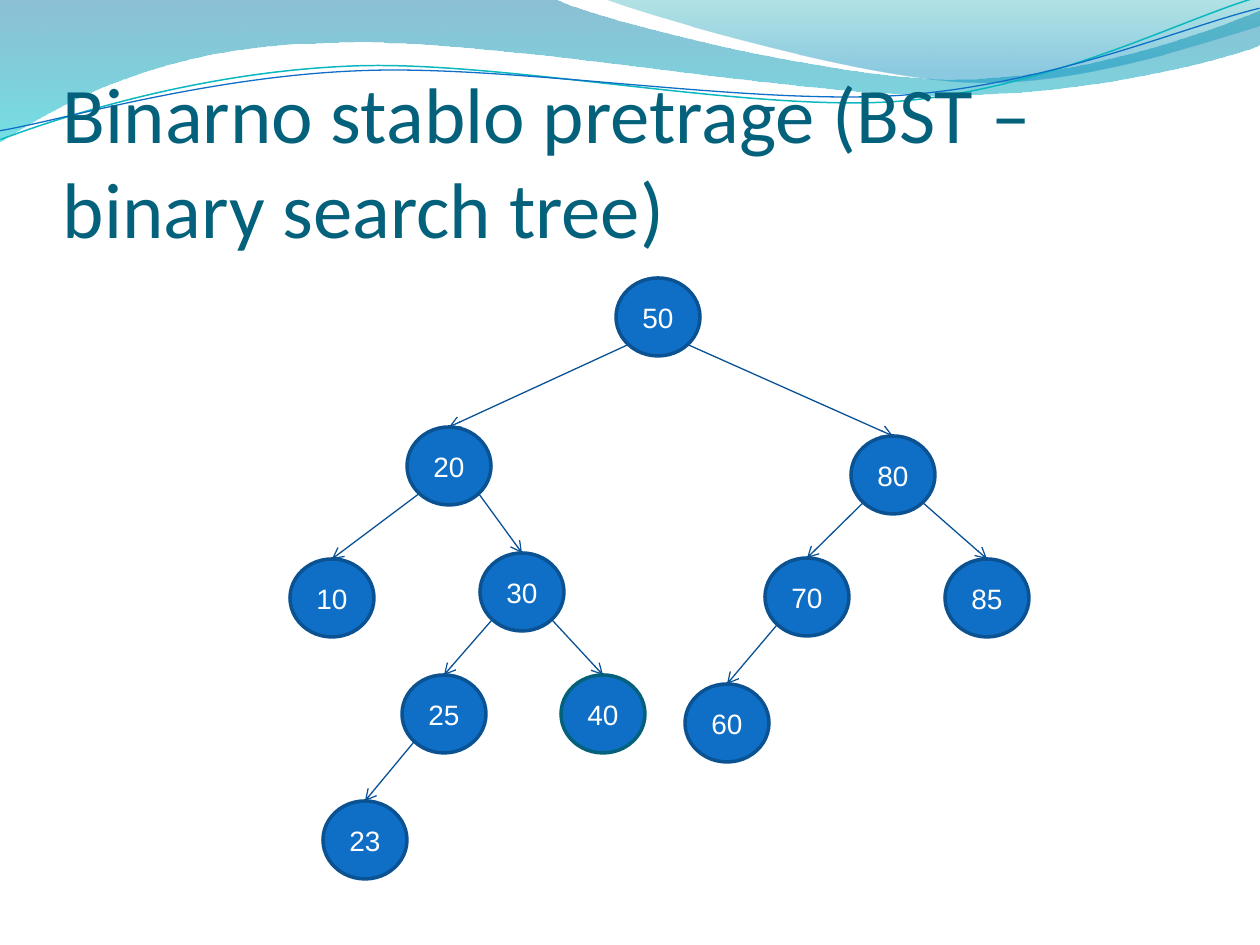
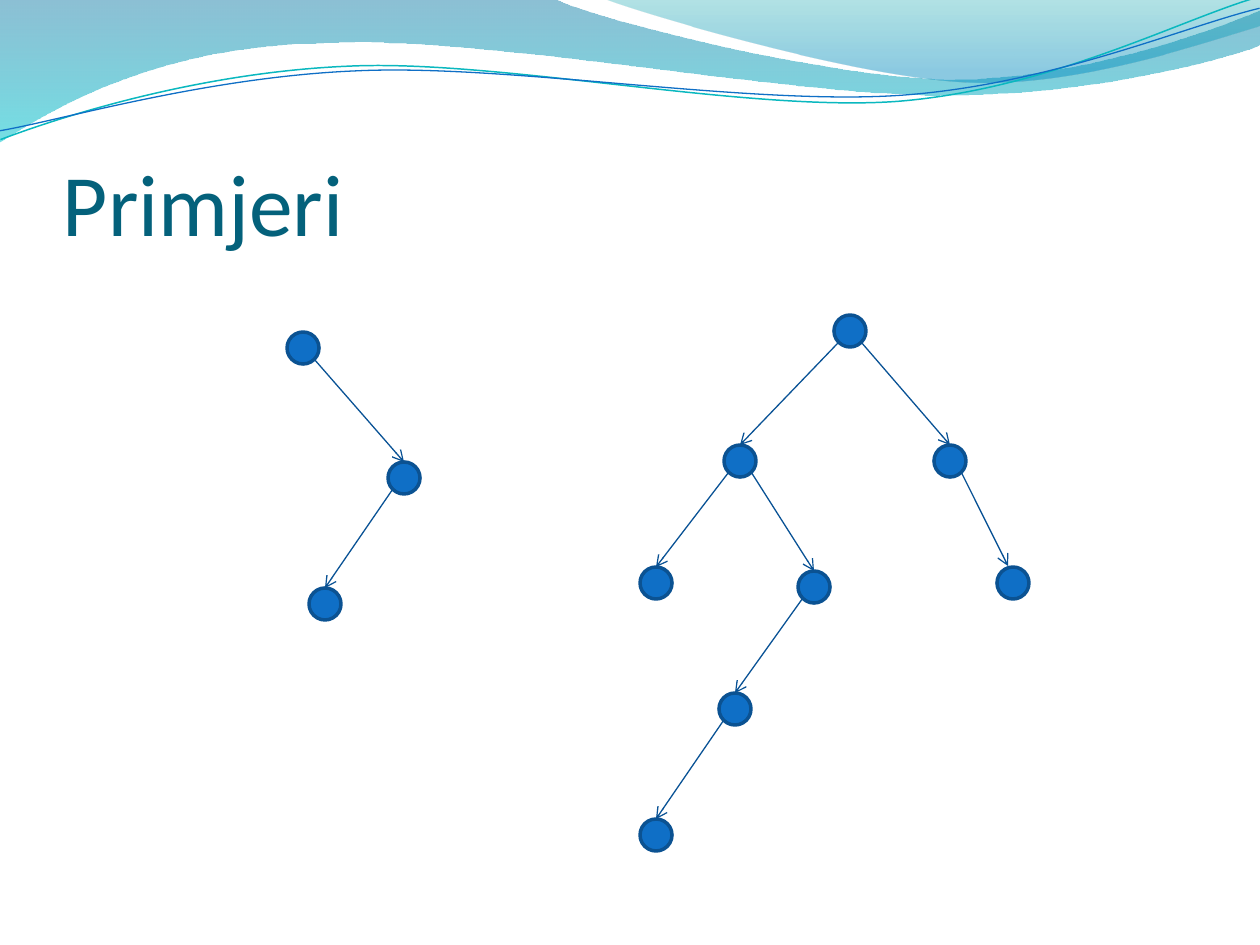
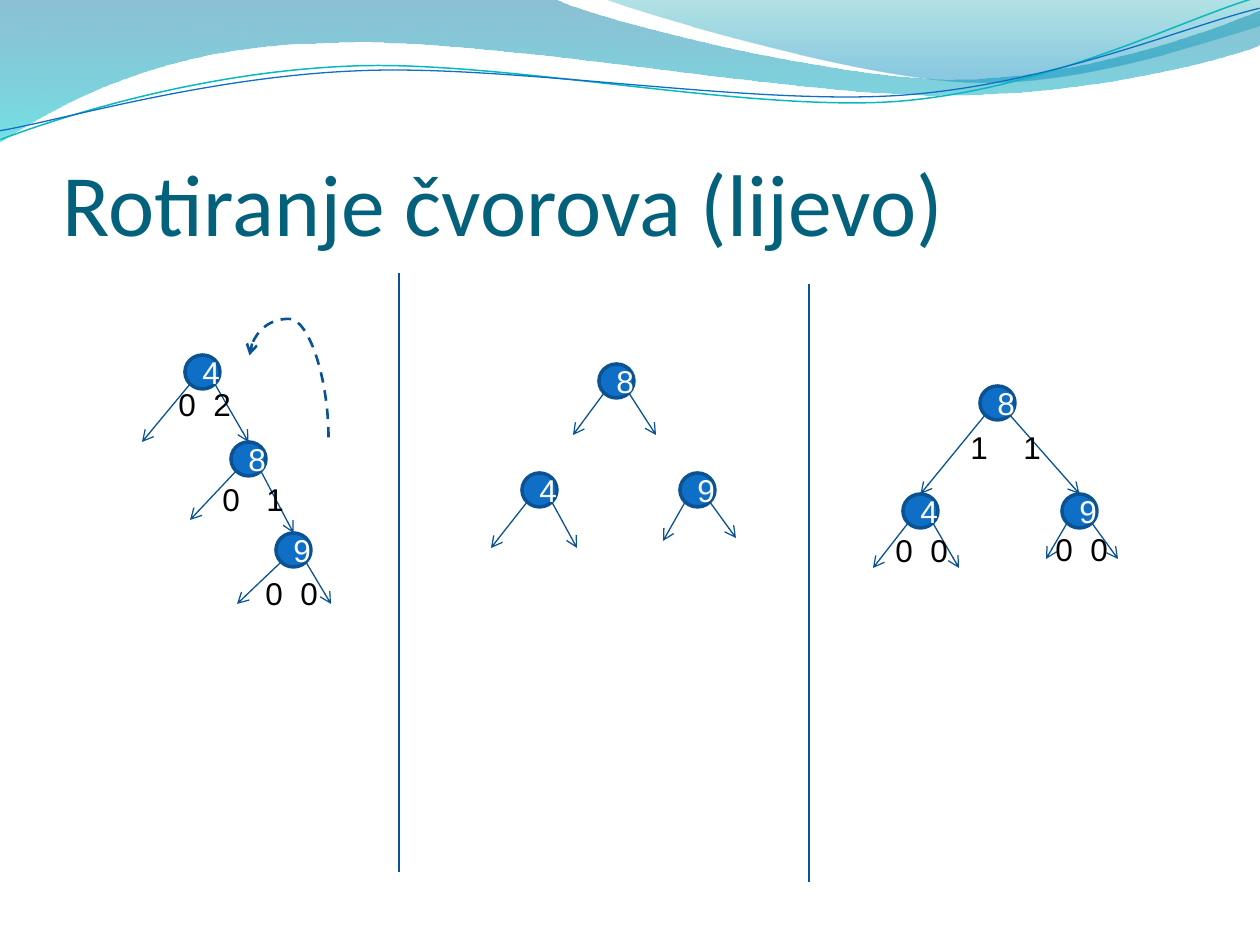
from lxml import etree
from pptx import Presentation
from pptx.dml.color import RGBColor
from pptx.enum.dml import MSO_LINE
from pptx.enum.shapes import MSO_CONNECTOR, MSO_SHAPE
from pptx.enum.text import MSO_ANCHOR, PP_ALIGN
from pptx.oxml.ns import qn
from pptx.util import Pt

PX = 914400 / 126
STRAIGHT, CURVE = MSO_CONNECTOR.STRAIGHT, MSO_CONNECTOR.CURVE
OVAL = MSO_SHAPE.OVAL
DASH = MSO_LINE.DASH
CENTER = PP_ALIGN.CENTER
MIDDLE, BOTTOM = MSO_ANCHOR.MIDDLE, MSO_ANCHOR.BOTTOM

BLUE = RGBColor(0x0F, 0x6F, 0xC6)
NODE_EDGE = RGBColor(0x0B, 0x52, 0x92)
ARROW_BLUE = RGBColor(0x09, 0x52, 0x95)
TEAL = RGBColor(0x04, 0x61, 0x7B)
AQUA = RGBColor(0x0A, 0xB8, 0xBF)
WHITE = RGBColor(0xFF, 0xFF, 0xFF)
BLACK = RGBColor(0x00, 0x00, 0x00)
TITLE_FONT, BODY_FONT = "Calibri", "Arial"
DIAGONAL = 0.5 ** 0.5
WAVE_TILT = 357.3

BANDS = [
    {"start": (0, 0),
     "segments": [[(554, -1)],
                  [(600, 21), (837, 79), (955, 79)],
                  [(1075, 79), (1207, 33), (1260, 11)],
                  [(1261, 45)],
                  [(1239, 55), (1096, 96), (940, 95)],
                  [(781, 95), (481, 35), (324, 43)],
                  [(163, 45), (58, 105), (-1, 142)]],
     "stops": [(0, RGBColor(0x00, 0x74, 0xA1), 45),
               (1, RGBColor(0x00, 0xC6, 0xCF), 55)]},
    {"start": (604, -1),
     "segments": [[(641, 14), (859, 78), (969, 82)],
                  [(1079, 87), (1211, 40), (1260, 26)],
                  [(1260, 0)]],
     "stops": [(0, RGBColor(0x00, 0xA1, 0xA9), 30),
               (0.8, RGBColor(0x00, 0x8B, 0xBF), 45)]},
]
WAVES = [
    {"start": (-2, 110), "color": AQUA, "width": 0.85,
     "segments": [[(59, 90), (200, 52), (350, 53)],
                  [(499, 53), (745, 118), (896, 114)],
                  [(1049, 109), (1184, 45), (1260, 27)]]},
    {"start": (-2, 101), "color": BLUE, "width": 0.75,
     "segments": [[(57, 94), (207, 57), (357, 58)],
                  [(509, 58), (750, 112), (902, 108)],
                  [(1052, 104), (1188, 52), (1262, 38)]]},
]

SEARCH_TREE = {
    "size": (84, 78), "font": 16, "outlines": {"40": TEAL},
    "nodes": {"50": (616, 278), "80": (851, 436), "20": (407, 427),
              "30": (480, 553), "25": (402, 675), "85": (945, 559),
              "10": (290, 559), "23": (323, 801), "40": (561, 675),
              "70": (765, 558), "60": (685, 684)},
    "edges": [("50", "20"), ("50", "80"), ("20", "10"), ("20", "30"),
              ("30", "25"), ("30", "40"), ("25", "23"), ("80", "70"),
              ("80", "85"), ("70", "60")],
}
EXAMPLE_TREES = [
    {"size": (32, 32),
     "nodes": {"a": (287, 332), "b": (388, 462), "c": (309, 588)},
     "edges": [("a", "b"), ("b", "c")]},
    {"size": (32, 32),
     "nodes": {"a": (834, 315), "b": (724, 445), "c": (934, 445),
               "d": (640, 567), "e": (798, 571), "f": (997, 567),
               "g": (719, 693), "h": (640, 819)},
     "edges": [("a", "b"), ("a", "c"), ("b", "d"), ("b", "e"),
               ("c", (1008, 566)), ("e", "g"), ("g", "h")]},
]
ROTATION_TREES = [
    {"size": (35, 34), "font": 18,
     "nodes": {"4": (185, 355), "8": (231, 442), "9": (276, 533)},
     "edges": [("4", (142, 442)), ("4", "8"), ("8", (190, 520)),
               ("8", "9"), ("9", (237, 604)), ("9", (331, 604))]},
    {"size": (35, 34), "font": 18,
     "nodes": {"4": (522, 473), "8": (599, 364), "9": (680, 473)},
     "edges": [("8", (573, 435)), ("8", (656, 435)), ("4", (491, 548)),
               ("4", (577, 548)), ("9", (663, 541)), ("9", (736, 538))]},
    {"size": (35, 34), "font": 18,
     "nodes": {"4": (903, 494), "8": (980, 386), "9": (1062, 494)},
     "edges": [("8", "4"), ("8", "9"), ("4", (873, 568)),
               ("4", (959, 568)), ("9", (1046, 559)), ("9", (1118, 559))]},
]
SLIDES = [
    {"title": "Binarno stablo pretrage (BST – binary search tree)",
     "title_size": 45, "trees": [SEARCH_TREE]},
    {"title": "Primjeri", "title_size": 50, "trees": EXAMPLE_TREES},
    {"title": "Rotiranje čvorova (lijevo)", "title_size": 50,
     "trees": ROTATION_TREES},
]
DIVIDERS = [((399, 273), (399, 872)), ((809, 284), (809, 882))]
ROTATION_ARROW = ((248, 436), (330, 357))
ROTATION_BULGE = 144700
HEIGHT_LABELS = [
    ("0", "2", 35, (166, 379, 82)),
    ("0", "1", 44, (210, 474, 110)),
    ("0", "0", 35, (253, 568, 82)),
    ("1", "1", 53, (958, 422, 100)),
    ("0", "0", 35, (883, 525, 82)),
    ("0", "0", 35, (1043, 524, 82)),
]
LABEL_HEIGHT = 50


def emu(*pixels):
    return [round(value * PX) for value in pixels]


def style_run(paragraph, font_name, size, color):
    font = paragraph.runs[0].font
    font.name, font.size, font.color.rgb = font_name, Pt(size), color


def add_outline(slide, part, close):
    builder = slide.shapes.build_freeform(*emu(*part["start"]), scale=1.0)
    corners = [emu(*point) for segment in part["segments"] for point in segment]
    builder.add_line_segments(corners, close=close)
    outline = builder.convert_to_shape()
    outline.shadow.inherit = False
    steps = outline.element.spPr.iter(qn("a:lnTo"))
    steps = iter(list(steps))
    for segment in part["segments"]:
        first, *others = [next(steps) for _ in segment]
        if others:
            first.tag = qn("a:cubicBezTo")
            for step in others:
                first.append(step[0])
                step.getparent().remove(step)
    return outline


def add_background(slide):
    for part in BANDS:
        band = add_outline(slide, part, True)
        band.line.fill.background()
        band.fill.gradient()
        band.fill.gradient_angle = 270
        for stop, (position, color, _) in zip(band.fill.gradient_stops, part["stops"]):
            stop.position, stop.color.rgb = position, color
        colors = band.element.spPr.iter(qn("a:srgbClr"))
        for color, (_, _, opacity) in zip(colors, part["stops"]):
            etree.SubElement(color, qn("a:alpha"), val=str(opacity * 1000))
    for part in WAVES:
        wave = add_outline(slide, part, False)
        wave.rotation = WAVE_TILT
        wave.fill.background()
        wave.line.color.rgb = part["color"]
        wave.line.width = Pt(part["width"])


def add_title(slide, text, size):
    frame = slide.shapes.add_textbox(*emu(63, 97, 1134, 157)).text_frame
    frame.word_wrap = True
    frame.vertical_anchor = BOTTOM
    frame.margin_left = frame.margin_right = frame.margin_bottom = 0
    frame.text = text
    style_run(frame.paragraphs[0], TITLE_FONT, size, TEAL)


def add_line(slide, start, end, kind=STRAIGHT, width=0.75, dash=None, arrow=True):
    connector = slide.shapes.add_connector(kind, *emu(*start, *end))
    connector.line.color.rgb = ARROW_BLUE
    connector.line.width = Pt(width)
    if dash:
        connector.line.dash_style = dash
    properties = connector.element.spPr
    if arrow:
        etree.SubElement(properties.find(qn("a:ln")), qn("a:tailEnd"), type="arrow")
    etree.SubElement(properties, qn("a:effectLst"))
    return connector


def add_tree(slide, tree):
    width, height = tree["size"]
    nodes = tree["nodes"]
    for parent, target in tree["edges"]:
        if target in nodes:
            left, top = nodes[target]
            target = (left + width / 2, top)
        center_x = nodes[parent][0] + width / 2
        center_y = nodes[parent][1] + height / 2
        side = 1 if target[0] > center_x else -1
        start = (center_x + side * DIAGONAL * width / 2,
                 center_y + DIAGONAL * height / 2)
        add_line(slide, start, target)
    for key, corner in nodes.items():
        node = slide.shapes.add_shape(OVAL, *emu(*corner, width, height))
        node.shadow.inherit = False
        node.fill.solid()
        node.fill.fore_color.rgb = BLUE
        node.line.color.rgb = tree.get("outlines", {}).get(key, NODE_EDGE)
        node.line.width = Pt(2)
        if "font" in tree:
            frame = node.text_frame
            frame.vertical_anchor = MIDDLE
            frame.text = key
            frame.paragraphs[0].alignment = CENTER
            style_run(frame.paragraphs[0], BODY_FONT, tree["font"], WHITE)


def add_rotation_details(slide):
    arrow = add_line(slide, *ROTATION_ARROW, kind=CURVE, width=1.5, dash=DASH)
    properties = arrow.element.spPr
    properties.find(qn("a:xfrm")).set("rot", str(270 * 60000))
    adjustments = properties.find(qn("a:prstGeom")).find(qn("a:avLst"))
    etree.SubElement(adjustments, qn("a:gd"), name="adj1", fmla=f"val {ROTATION_BULGE}")
    for start, end in DIVIDERS:
        add_line(slide, start, end, arrow=False)
    for left_height, right_height, gap, (left, top, width) in HEIGHT_LABELS:
        box = slide.shapes.add_textbox(*emu(left, top, width, LABEL_HEIGHT))
        frame = box.text_frame
        frame.word_wrap = True
        paragraph = frame.paragraphs[0]
        paragraph.text = f"{left_height}\t{right_height}"
        style_run(paragraph, BODY_FONT, 18, BLACK)
        tabs = etree.SubElement(paragraph._p.get_or_add_pPr(), qn("a:tabLst"))
        etree.SubElement(tabs, qn("a:tab"), pos=str(emu(gap)[0]), algn="l")


deck = Presentation()
deck.slide_width, deck.slide_height = emu(1260, 945)
for content in SLIDES:
    page = deck.slides.add_slide(deck.slide_layouts[6])
    add_background(page)
    add_title(page, content["title"], content["title_size"])
    for tree in content["trees"]:
        add_tree(page, tree)
add_rotation_details(page)
deck.save("out.pptx")
